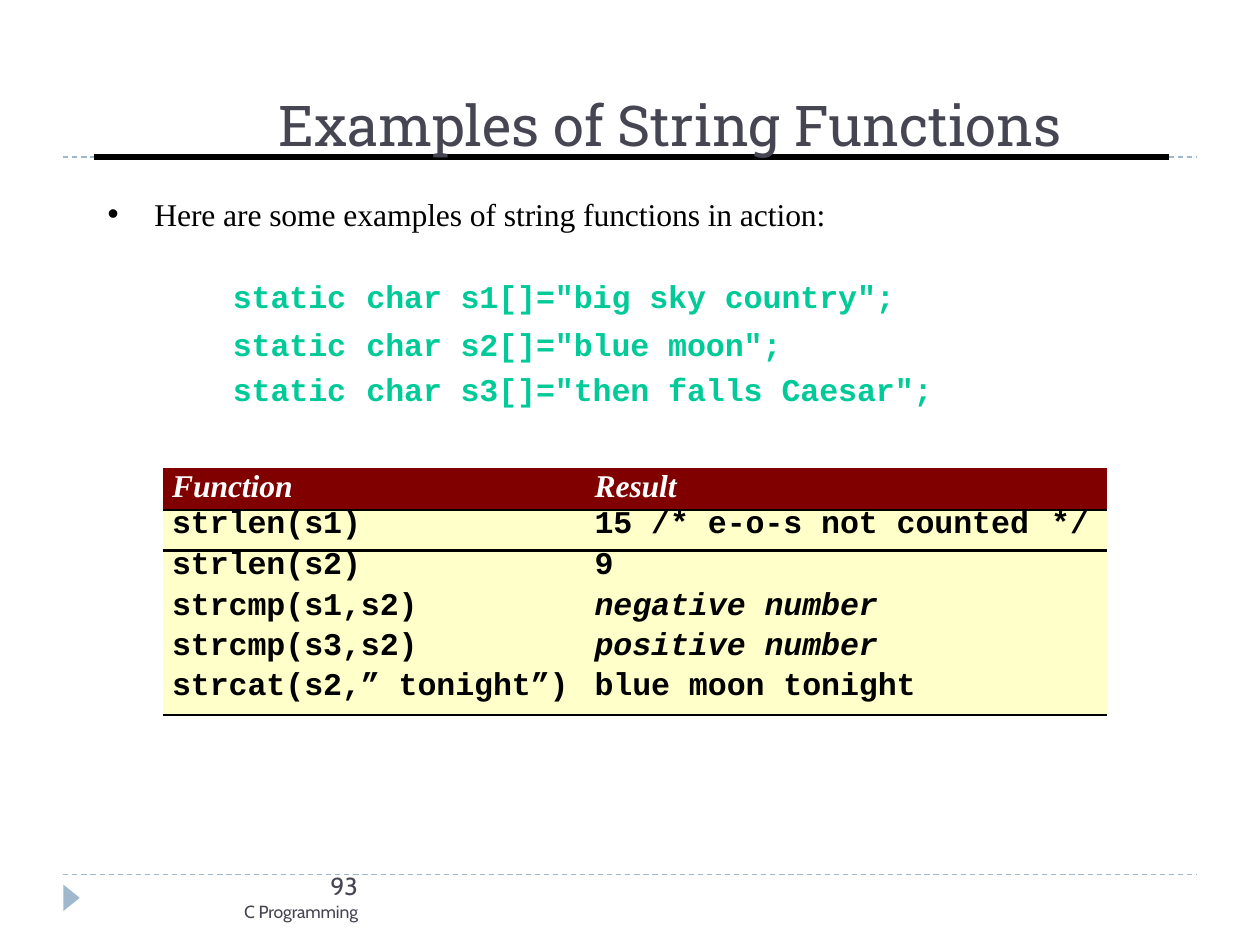
"""Build the slide "Examples of String Functions" with two code tables."""
from lxml import etree
from pptx import Presentation
from pptx.dml.color import RGBColor
from pptx.enum.dml import MSO_LINE
from pptx.enum.shapes import MSO_CONNECTOR, MSO_SHAPE
from pptx.enum.text import MSO_ANCHOR, MSO_AUTO_SIZE, PP_ALIGN
from pptx.oxml.ns import qn
from pptx.util import Inches, Pt

LEFT, CENTER, RIGHT = PP_ALIGN.LEFT, PP_ALIGN.CENTER, PP_ALIGN.RIGHT
STRAIGHT, TRIANGLE = MSO_CONNECTOR.STRAIGHT, MSO_SHAPE.ISOSCELES_TRIANGLE
DASH, BOTTOM, TOP = MSO_LINE.DASH, MSO_ANCHOR.BOTTOM, MSO_ANCHOR.TOP
NO_FIT = MSO_AUTO_SIZE.NONE
NO_STYLE = "{2D5ABB26-0587-4C30-8999-92F81FD0307C}"
MONO, SERIF = "Courier New", "Times New Roman"
COLORS = {"rule": "9FB8CD", "black": "000000", "slate": "464653", "code": "01CA99",
          "white": "FFFFFF", "header": "800000", "row": "FFFFCA", "ink": "010000"}


def write(p, text, size, font, color, indent=0, align=LEFT, bold=False, italic=False, spc=-5):
    p.alignment = align
    p._p.get_or_add_pPr().set("marL", str(Inches(indent)))
    r = p.add_run()
    r.text = text
    r.font.size, r.font.name = Pt(size), font
    r.font.bold, r.font.italic = bold, italic
    r.font.color.rgb = RGBColor.from_string(COLORS[color])
    r._r.get_or_add_rPr().set("spc", str(spc))


def add_grid(left, top, widths, heights):
    frame = s.shapes.add_table(len(heights), len(widths), Inches(left), Inches(top),
                               Inches(sum(widths)), Inches(sum(heights)))
    table = frame.table
    table.first_row = table.horz_banding = False
    table._tbl.tblPr.find(qn("a:tableStyleId")).text = NO_STYLE
    for col, width in zip(table.columns, widths):
        col.width = Inches(width)
    for row, height in zip(table.rows, heights):
        row.height = Inches(height)
    for cell in table.iter_cells():
        cell.margin_left = cell.margin_right = cell.margin_top = cell.margin_bottom = 0
    return table


prs = Presentation()
prs.slide_width, prs.slide_height = Inches(9.96), Inches(7.46)
s = prs.slides.add_slide(prs.slide_layouts[1])
title, body = s.placeholders[0], s.placeholders[1]

for x1, x2, y, color, width, dash in [(0.5, 9.46, 6.91, "rule", 0.75, DASH),
                                      (0.5, 9.46, 1.24, "rule", 0.75, DASH),
                                      (0.74, 9.24, 1.24, "black", 3, None)]:
    line = s.shapes.add_connector(STRAIGHT, Inches(x1), Inches(y), Inches(x2), Inches(y))
    line.line.color.rgb = RGBColor.from_string(COLORS[color])
    line.line.width = Pt(width)
    line.line.dash_style = dash
    etree.SubElement(line._element.spPr, qn("a:effectLst"))

marker = s.shapes.add_shape(TRIANGLE, Inches(0.46), Inches(7.03), Inches(0.21), Inches(0.13))
marker.rotation = 90
marker.shadow.inherit = False
marker.fill.solid()
marker.fill.fore_color.rgb = RGBColor.from_string(COLORS["rule"])
marker.line.fill.background()

footer = s.shapes.add_textbox(0, 0, 0, 0)
for sp, left, top, width, height, anchor in [(title, 0.5, 0.17, 8.96, 1.08, BOTTOM),
                                             (body, 0.83, 1.54, 5.76, 0.31, TOP),
                                             (footer, 0.67, 6.91, 2.16, 0.4, TOP)]:
    s.shapes._spTree.append(sp._element)
    sp.left, sp.top, sp.width, sp.height = (Inches(v) for v in (left, top, width, height))
    tf = sp.text_frame
    tf.margin_left = tf.margin_right = tf.margin_top = tf.margin_bottom = 0
    tf.word_wrap = True
    tf.auto_size = NO_FIT
    tf.vertical_anchor = anchor

write(title.text_frame.paragraphs[0], "Examples of String Functions", 32, "Roboto Slab",
      "slate", indent=1.7)

p = body.text_frame.paragraphs[0]
p.space_before = Pt(0)
pPr = p._p.get_or_add_pPr()
pPr.set("indent", str(Inches(-0.37)))
etree.SubElement(pPr, qn("a:buChar")).set("char", "•")
write(p, "Here are some examples of string functions in action:", 18, SERIF, "black", indent=0.39)

p = footer.text_frame.paragraphs[0]
p.line_spacing = Pt(15.1)
write(p, "93", 14, "Cabin", "slate", align=RIGHT, spc=0)
write(footer.text_frame.add_paragraph(), "C Programming", 10, "Cabin", "slate", align=RIGHT)

strings = ['s1[]="big sky country";', 's2[]="blue moon";', 's3[]="then falls Caesar";']
code = add_grid(1.82, 2.23, [1, 0.75, 3.83], [0.37, 0.36, 0.38])
for i, string in enumerate(strings):
    cells = [("static", 0.02, LEFT), ("char", 0, CENTER), (string, 0.07, LEFT)]
    for j, (text, indent, align) in enumerate(cells):
        p = code.cell(i, j).text_frame.paragraphs[0]
        if i:
            p.line_spacing = Pt(20.8)
        write(p, text, 18, MONO, "code", indent, align, bold=True)

results = [("Function", "Result", ""),
           ("strlen(s1)", "15 /* e-o-s not counted", "*/"),
           ("strlen(s2)", "9", ""),
           ("strcmp(s1,s2)", "negative number", ""),
           ("strcmp(s3,s2)", "positive number", ""),
           ("strcat(s2,” tonight”)", "blue moon tonight", "")]
indents = [0.07, 0.09, 0.08]
spacings = [20.3, 18.6, 19.2, 19.2, 19.2, 19.2]
borders = {0: 1.44, 1: 2, 5: 1.44}
calls = add_grid(1.29, 3.7, [3.32, 3.62, 0.52], [0.33, 0.32, 0.32, 0.32, 0.32, 0.34])
calls.cell(0, 1).merge(calls.cell(0, 2))
for i, row in enumerate(results):
    font, color, fill = (MONO, "ink", "row") if i else (SERIF, "white", "header")
    for j, text in enumerate(row):
        cell = calls.cell(i, j)
        cell.fill.solid()
        cell.fill.fore_color.rgb = RGBColor.from_string(COLORS[fill])
        if i in borders:
            ln = etree.Element(qn("a:lnB"), w=str(Pt(borders[i])))
            solid = etree.SubElement(ln, qn("a:solidFill"))
            etree.SubElement(solid, qn("a:srgbClr")).set("val", COLORS["black"])
            cell._tc.get_or_add_tcPr().insert(0, ln)
        if text:
            p = cell.text_frame.paragraphs[0]
            p.line_spacing = Pt(spacings[i])
            write(p, text, 18, font, color, indents[j], bold=True,
                  italic=i == 0 or text.endswith("number"))

prs.save("out.pptx")
